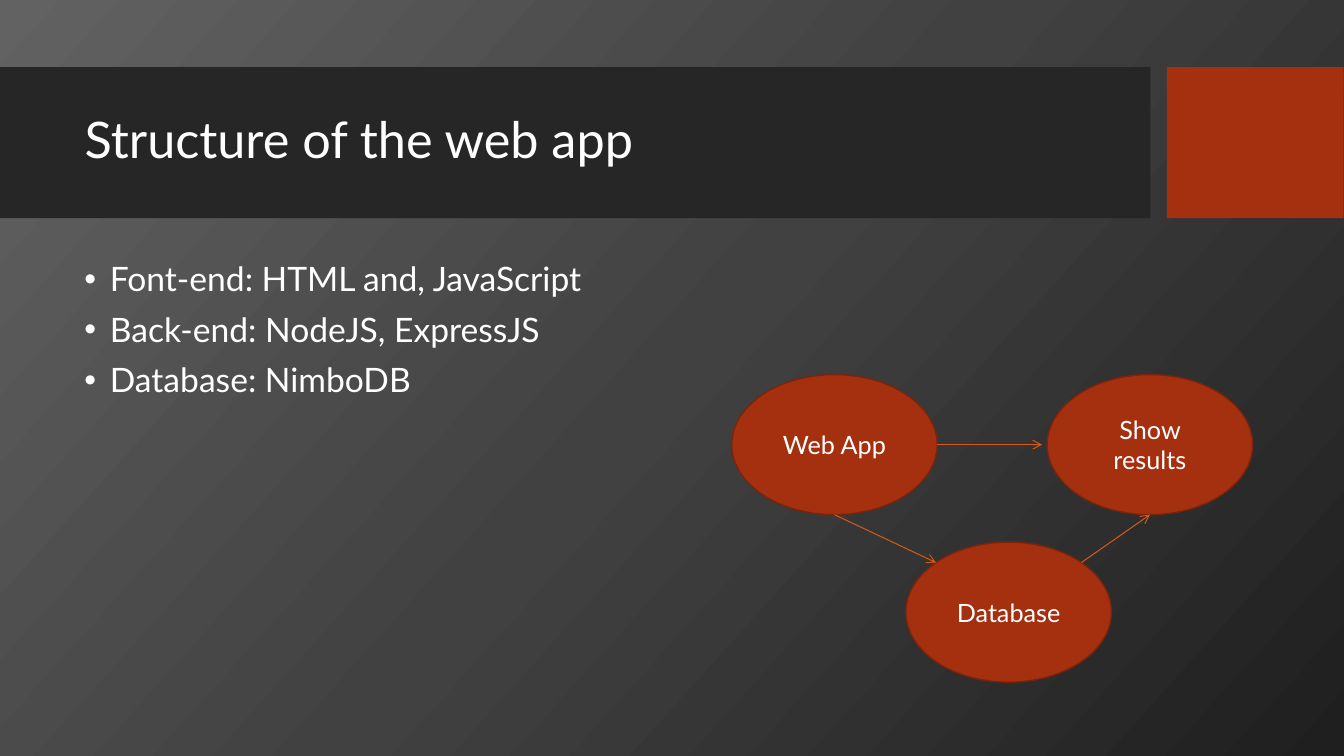
from copy import deepcopy
from dataclasses import dataclass
from math import sqrt

from lxml.etree import SubElement
from pptx import Presentation
from pptx.dml.color import RGBColor
from pptx.enum.shapes import MSO_CONNECTOR, MSO_SHAPE
from pptx.enum.text import MSO_ANCHOR, PP_ALIGN
from pptx.oxml.ns import qn
from pptx.slide import Slide
from pptx.util import Cm, Pt

FONT = "Lato"
COLORS = {
    "text": "FFFFFF",
    "band": "262626",
    "accent": "A5300F",
    "outline": "7A240B",
    "arrow": "D55816",
}
BACKDROP = ["626262", "414141", "1F1F1F"]
STACK = [
    "Font-end: HTML and, JavaScript",
    "Back-end: NodeJS, ExpressJS",
    "Database: NimboDB",
]
MARGIN, TEXT_WIDTH = 1.88, 26.7
NODE_WIDTH, NODE_HEIGHT = 5.18, 3.53
DIAGONAL = 1 / sqrt(2)

Point = tuple[float, float]


@dataclass(frozen=True)
class Bar:
    left: float
    width: float
    color: str


@dataclass(frozen=True)
class Node:
    label: str
    left: float
    top: float

    def rim(self, across: float, down: float) -> Point:
        """Point given as a share of each radius from the centre."""
        return (self.left + NODE_WIDTH / 2 * (1 + across),
                self.top + NODE_HEIGHT / 2 * (1 + down))


@dataclass(frozen=True)
class Arrow:
    start: Point
    end: Point


BARS = [Bar(0, 28.99, "band"), Bar(29.41, 4.45, "accent")]
WEB_APP = Node("Web App", 18.44, 9.44)
RESULTS = Node("Show results", 26.39, 9.44)
DATABASE = Node("Database", 22.83, 13.66)
ARROWS = [
    Arrow(WEB_APP.rim(1, 0), RESULTS.rim(-1.05, 0)),
    Arrow(WEB_APP.rim(0, 1), DATABASE.rim(-DIAGONAL, -DIAGONAL)),
    Arrow(DATABASE.rim(DIAGONAL, -DIAGONAL), RESULTS.rim(0, 1)),
]


def rgb(name: str) -> RGBColor:
    return RGBColor.from_string(COLORS[name])


def style(paragraph, size: int) -> None:
    paragraph.font.name = FONT
    paragraph.font.size = Pt(size)
    paragraph.font.color.rgb = rgb("text")


def paint_background(slide: Slide) -> None:
    fill = slide.background.fill
    fill.gradient()
    fill.gradient_angle = 318
    stop_list = slide.background._cSld.find(".//" + qn("a:gsLst"))
    stop_list.insert(1, deepcopy(stop_list[0]))
    for index, (stop, color) in enumerate(zip(fill.gradient_stops, BACKDROP)):
        stop.position = index / (len(BACKDROP) - 1)
        stop.color.rgb = RGBColor.from_string(color)


def add_bar(slide: Slide, bar: Bar) -> None:
    shape = slide.shapes.add_shape(
        MSO_SHAPE.RECTANGLE, Cm(bar.left), Cm(1.69), Cm(bar.width), Cm(3.81))
    shape.shadow.inherit = False
    shape.fill.solid()
    shape.fill.fore_color.rgb = rgb(bar.color)
    shape.line.fill.background()


def set_title(slide: Slide, text: str) -> None:
    """Fill the title and bring it in front of the bars."""
    title = slide.shapes.title
    title.left, title.top = Cm(MARGIN), Cm(2.08)
    title.width, title.height = Cm(TEXT_WIDTH), Cm(3)
    title.text_frame.text = text
    title.text_frame.vertical_anchor = MSO_ANCHOR.MIDDLE
    heading = title.text_frame.paragraphs[0]
    heading.alignment = PP_ALIGN.LEFT
    heading.line_spacing = 0.9
    style(heading, 36)
    slide.shapes._spTree.append(title.element)


def add_stack_list(slide: Slide) -> None:
    box = slide.shapes.add_textbox(
        Cm(MARGIN), Cm(6.5), Cm(TEXT_WIDTH), Cm(10))
    frame = box.text_frame
    frame.word_wrap = True
    frame.text = "\n".join(STACK)
    for index, item in enumerate(frame.paragraphs):
        properties = item._p.get_or_add_pPr()
        properties.set("marL", str(Cm(0.64)))
        properties.set("indent", str(-Cm(0.64)))
        SubElement(properties, qn("a:buFont"), typeface="Arial")
        SubElement(properties, qn("a:buChar"), char="•")
        item.line_spacing = 0.9
        item.space_before = Pt(10 if index else 0)
        style(item, 24)


def add_node(slide: Slide, node: Node) -> None:
    ellipse = slide.shapes.add_shape(
        MSO_SHAPE.OVAL, Cm(node.left), Cm(node.top),
        Cm(NODE_WIDTH), Cm(NODE_HEIGHT))
    ellipse.shadow.inherit = False
    ellipse.fill.solid()
    ellipse.fill.fore_color.rgb = rgb("accent")
    ellipse.line.color.rgb = rgb("outline")
    ellipse.line.width = Pt(1)
    frame = ellipse.text_frame
    frame.word_wrap = True
    frame.vertical_anchor = MSO_ANCHOR.MIDDLE
    frame.text = node.label
    label = frame.paragraphs[0]
    label.alignment = PP_ALIGN.CENTER
    style(label, 18)


def add_arrow(slide: Slide, arrow: Arrow) -> None:
    ends = [Cm(value) for value in (*arrow.start, *arrow.end)]
    connector = slide.shapes.add_connector(MSO_CONNECTOR.STRAIGHT, *ends)
    connector.line.color.rgb = rgb("arrow")
    connector.line.width = Pt(0.75)
    SubElement(connector.line._get_or_add_ln(), qn("a:tailEnd"), type="arrow")
    SubElement(connector.element.spPr, qn("a:effectLst"))


def main() -> None:
    deck = Presentation()
    deck.slide_width, deck.slide_height = Cm(33.87), Cm(19.05)
    slide = deck.slides.add_slide(deck.slide_layouts[5])
    paint_background(slide)
    for bar in BARS:
        add_bar(slide, bar)
    set_title(slide, "Structure of the web app")
    add_stack_list(slide)
    for node in (WEB_APP, RESULTS, DATABASE):
        add_node(slide, node)
    for arrow in ARROWS:
        add_arrow(slide, arrow)
    deck.save("out.pptx")


if __name__ == "__main__":
    main()
